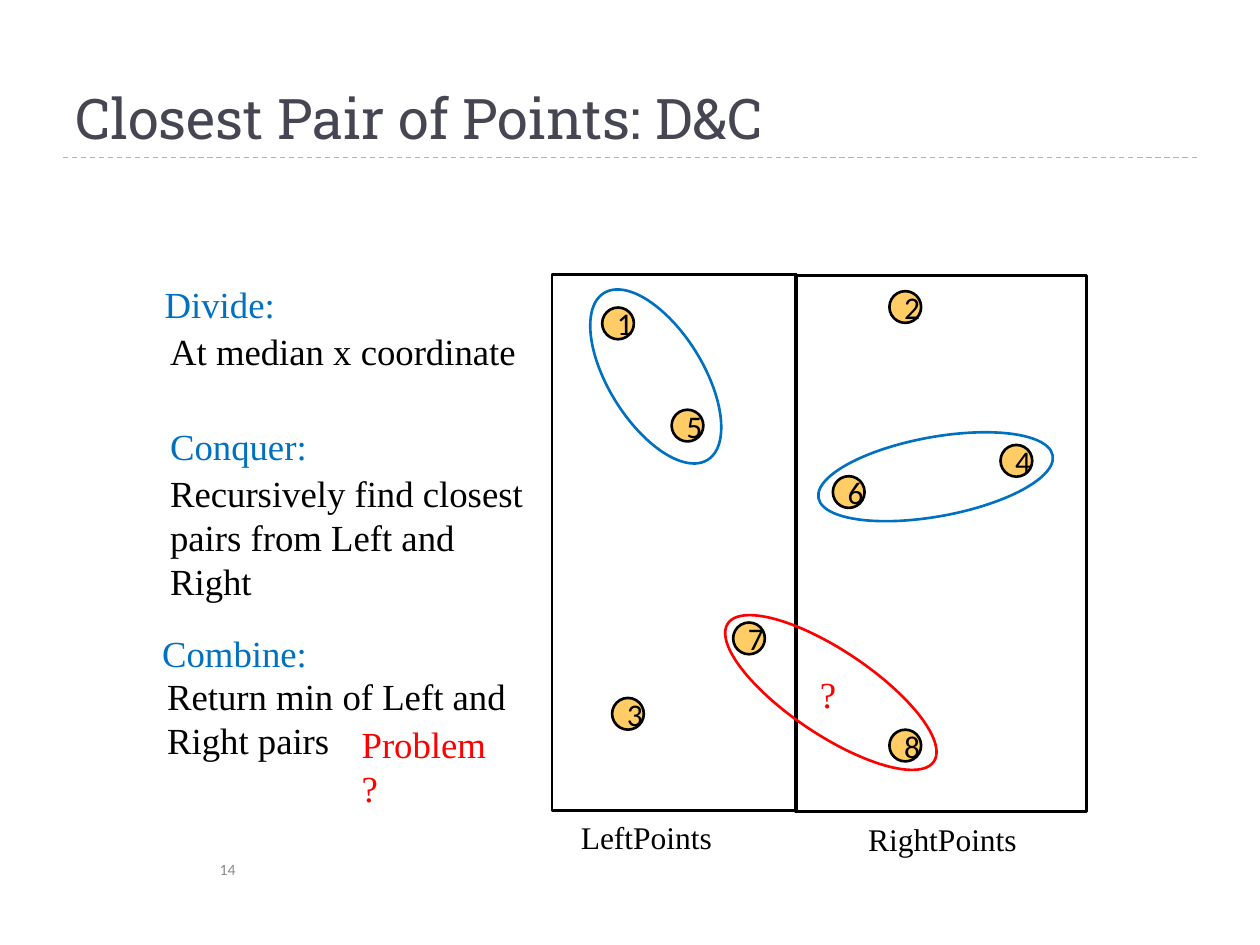
from dataclasses import dataclass

from lxml.etree import SubElement
from pptx import Presentation
from pptx.dml.color import RGBColor
from pptx.enum.dml import MSO_LINE_DASH_STYLE as Dash
from pptx.enum.shapes import MSO_CONNECTOR as Connector, MSO_SHAPE as Preset
from pptx.enum.text import MSO_ANCHOR as Anchor, MSO_AUTO_SIZE as AutoSize, PP_ALIGN as Align
from pptx.oxml.ns import qn
from pptx.util import Cm, Pt


@dataclass(frozen=True)
class Theme:
    title_color: str = "464653"
    rule: str = "9FB8CD"
    ink: str = "000000"
    blue: str = "0070C0"
    red: str = "FF0000"
    node: str = "FFCC66"
    muted: str = "8C8C8C"
    title_font: str = "Roboto Slab"
    body_font: str = "Times New Roman"
    node_font: str = "Calibri"
    title_size: float = 32
    body_size: float = 21
    label_size: float = 18
    page_size: float = 9
    stroke: float = 1.5


THEME = Theme()
NODE_SIZE = 0.64
STEP_WIDTH = 8.03
LINE_HEIGHT = 1.14

# Left and top of each numbered point, in centimetres
POINTS = [
    (12.14, 6.2), (17.93, 5.87), (12.34, 14.07), (20.17, 8.97),
    (13.54, 8.26), (16.79, 9.6), (14.78, 12.55), (17.93, 14.71),
]
# Left, top, width, height
HALVES = [(16.03, 5.56, 5.87, 10.8), (11.13, 5.54, 4.93, 10.8)]
# Left, top, width, height, rotation, colour
PAIRS = [
    (12.27, 5.61, 1.9, 3.96, 328.1, THEME.blue),
    (18.06, 7.21, 1.6, 4.8, 259.7, THEME.blue),
    (15.9, 11.46, 1.7, 5, 303.8, THEME.red),
]
# Text, left, top, height, colour
STEPS = [
    ("Divide:", 3.07, 5.56, LINE_HEIGHT, THEME.blue),
    ("At median x coordinate", 3.18, 6.5, LINE_HEIGHT, THEME.ink),
    ("Conquer:", 3.18, 8.41, LINE_HEIGHT, THEME.blue),
    ("Recursively find closest pairs from Left and Right", 3.18, 9.37, 2.95, THEME.ink),
    ("Combine:", 3.02, 12.6, LINE_HEIGHT, THEME.blue),
    ("Return min of Left and Right pairs", 3.12, 13.46, 2.06, THEME.ink),
]


def write(shape, text, *, size=THEME.body_size, font=THEME.body_font, color=THEME.ink,
          align=Align.LEFT, anchor=Anchor.TOP, wrap=True):
    frame = shape.text_frame
    frame.auto_size = AutoSize.NONE
    frame.word_wrap = wrap
    frame.vertical_anchor = anchor
    para = frame.paragraphs[0]
    para.alignment = align
    span = para.add_run()
    span.text = text
    span.font.size = Pt(size)
    span.font.name = font
    span.font.color.rgb = RGBColor.from_string(color)


def add_text(slide, text, left, top, width, height, **style):
    box = slide.shapes.add_textbox(Cm(left), Cm(top), Cm(width), Cm(height))
    write(box, text, **style)
    return box


def add_outline(slide, preset, left, top, width, height, *, color=THEME.ink, fill=None, rotation=0):
    shape = slide.shapes.add_shape(preset, Cm(left), Cm(top), Cm(width), Cm(height))
    shape.shadow.inherit = False
    shape.rotation = rotation
    if fill:
        shape.fill.solid()
        shape.fill.fore_color.rgb = RGBColor.from_string(fill)
    else:
        shape.fill.background()
    shape.line.color.rgb = RGBColor.from_string(color)
    shape.line.width = Pt(THEME.stroke)
    return shape


def add_title(slide, text):
    title = slide.shapes.title
    title.left, title.top, title.width, title.height = Cm(1.27), Cm(0.43), Cm(22.86), Cm(2.74)
    write(title, text, size=THEME.title_size, font=THEME.title_font,
          color=THEME.title_color, anchor=Anchor.BOTTOM)
    rule = slide.shapes.add_connector(Connector.STRAIGHT, Cm(1.27), Cm(3.18), Cm(24.13), Cm(3.18))
    rule.line.color.rgb = RGBColor.from_string(THEME.rule)
    rule.line.width = Pt(0.75)
    rule.line.dash_style = Dash.DASH
    SubElement(rule.element.spPr, qn("a:effectLst"))


def add_page_number(slide, text):
    box = add_text(slide, text, 0.48, 17.15, 4.45, 0.76, size=THEME.page_size,
                   font=THEME.node_font, color=THEME.muted, align=Align.RIGHT, anchor=Anchor.MIDDLE)
    frame = box.text_frame
    frame.margin_left = frame.margin_right = Cm(0.18)
    frame.margin_top = frame.margin_bottom = Cm(0.1)


def add_diagram(slide):
    for half in HALVES:
        add_outline(slide, Preset.RECTANGLE, *half)
    for number, (left, top) in enumerate(POINTS, 1):
        node = add_outline(slide, Preset.OVAL, left, top, NODE_SIZE, NODE_SIZE, fill=THEME.node)
        write(node, str(number), size=THEME.label_size, font=THEME.node_font,
              align=Align.CENTER, anchor=Anchor.MIDDLE)
    for *place, rotation, color in PAIRS:
        add_outline(slide, Preset.OVAL, *place, color=color, rotation=rotation)
    add_text(slide, "?", 16.28, 13.41, 0.97, LINE_HEIGHT, color=THEME.red)
    add_text(slide, "LeftPoints", 11.46, 16.36, 3.23, 1.02, size=THEME.label_size, wrap=False)
    add_text(slide, "RightPoints", 17.25, 16.41, 3.53, 1.02, size=THEME.label_size, wrap=False)


def add_steps(slide):
    for text, left, top, height, color in STEPS:
        add_text(slide, text, left, top, STEP_WIDTH, height, color=color)
    add_text(slide, "Problem?", 7.04, 14.43, 3.33, 2.06, color=THEME.red)


def main():
    deck = Presentation()
    deck.slide_width, deck.slide_height = Cm(25.4), Cm(19.05)
    page = deck.slides.add_slide(deck.slide_layouts[5])

    # Heading, explanation, diagram and footer
    add_title(page, "Closest Pair of Points: D&C")
    add_steps(page)
    add_diagram(page)
    add_page_number(page, "14")
    deck.save("out.pptx")


if __name__ == "__main__":
    main()
